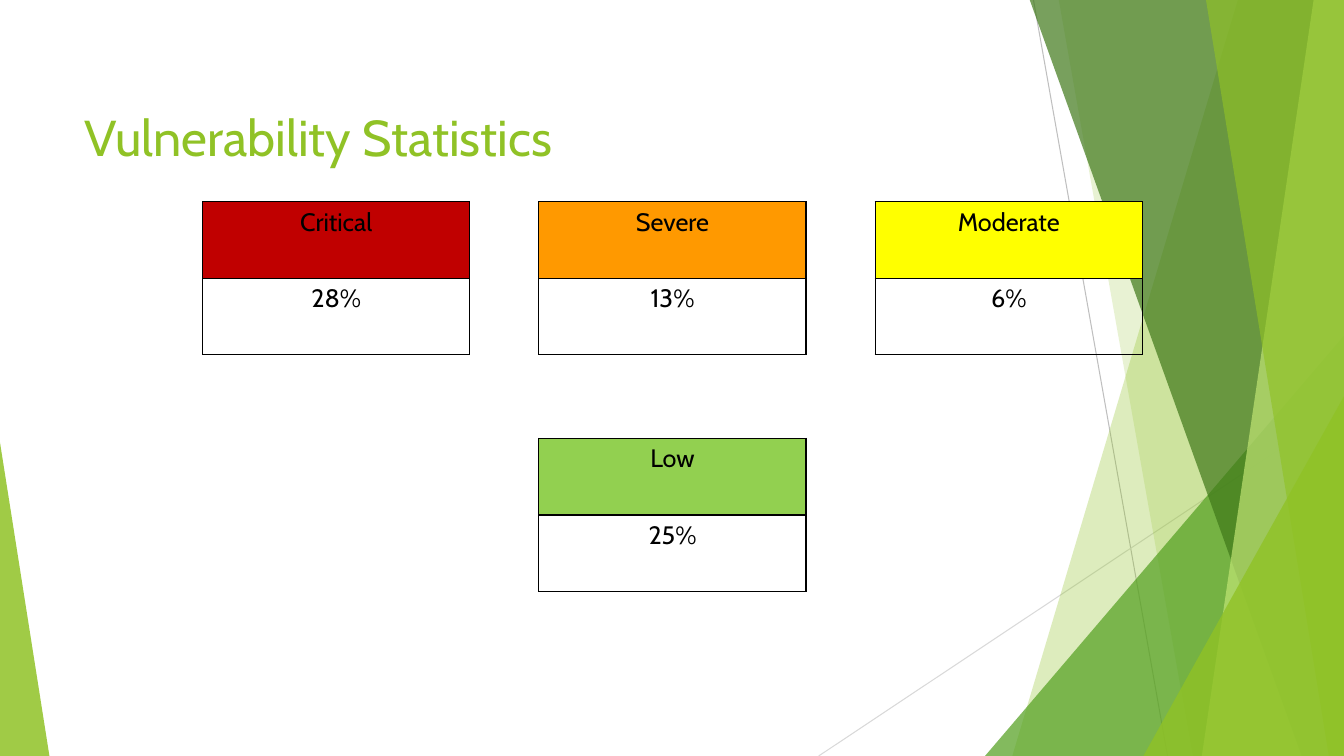
"""Builds the vulnerability statistics slide."""
from dataclasses import dataclass

from lxml.etree import SubElement
from pptx import Presentation
from pptx.dml.color import RGBColor
from pptx.enum.shapes import MSO_CONNECTOR as CONN, MSO_SHAPE as SHAPE
from pptx.enum.text import MSO_ANCHOR as ANCHOR, PP_ALIGN as ALIGN
from pptx.oxml import parse_xml
from pptx.oxml.ns import nsdecls, qn
from pptx.util import Inches, Pt


@dataclass(frozen=True)
class Theme:
    font: str = "Cabin"
    title_size: int = 36
    cell_size: int = 18
    ink: str = "000000"
    lime: str = "90C226"
    leaf: str = "54A021"
    forest: str = "3F7819"
    pale: str = "C0E474"
    critical: str = "C00000"
    severe: str = "FF9900"
    moderate: str = "FFFF00"
    low: str = "92D050"


THEME = Theme()
WIDTH, HEIGHT, TOP = 13.33, 7.5, -0.01
TITLE = "Vulnerability Statistics"

# label, value, colour, grid column, grid row
RATINGS = [
    ("Critical", "28%", THEME.critical, 0, 0),
    ("Severe", "13%", THEME.severe, 1, 0),
    ("Moderate", "6%", THEME.moderate, 2, 0),
    ("Low", "25%", THEME.low, 1, 1),
]
CARD_W, ROW_H = 2.65, 0.76
CARD_LEFT, CARD_TOP = 2.01, 2.0
COL_STEP, ROW_STEP = 3.335, 2.35

# start, end, colour
RAYS = [
    ((10.25, 0), (11.58, HEIGHT), "BFBFBF"),
    ((WIDTH, 4.03), (8.12, HEIGHT), "D9D9D9"),
]
# kind, top x and bottom x of a band, or left, top, width and apex of a wedge; then colour, opacity
FACETS = [
    ("band", (12.28, 10.04), THEME.lime, 30),
    ("band", (10.5, 11.83), THEME.lime, 20),
    ("wedge", (9.77, 3.33, 3.56, 1), THEME.leaf, 72),
    ("band", (10.21, 12.91), THEME.forest, 70),
    ("band", (13.03, 11.92), THEME.pale, 70),
    ("band", (11.96, 13.18), THEME.lime, 65),
    ("wedge", (11.34, 3.93, 1.99, 1), THEME.lime, 80),
    ("wedge", (0, 4.39, 0.49, 0), THEME.lime, 85),
]


def write(tf, text, size, color, align=ALIGN.LEFT, spacing=1.0):
    """Put one formatted paragraph in a text frame."""
    p = tf.paragraphs[0]
    p.alignment, p.line_spacing = align, spacing
    r = p.add_run()
    r.text = text
    r.font.name, r.font.size, r.font.bold = THEME.font, Pt(size), False
    r.font.color.rgb = RGBColor.from_string(color)


def add_ray(shapes, start, end, color):
    """Draw a thin background line."""
    points = [Inches(v) for v in (*start, *end)]
    line = shapes.add_connector(CONN.STRAIGHT, *points)
    line.line.color.rgb = RGBColor.from_string(color)
    line.line.width = Pt(0.75)
    SubElement(line._element.spPr, qn("a:effectLst"))


def add_facet(shapes, kind, spec_values, color, opacity):
    """Draw a translucent background band or wedge."""
    if kind == "band":
        top_x, bottom_x = spec_values
        corners = [(top_x, TOP), (WIDTH, TOP), (WIDTH, HEIGHT), (bottom_x, HEIGHT)]
        points = [(Inches(x), Inches(y)) for x, y in corners]
        builder = shapes.build_freeform(*points[0])
        builder.add_line_segments(points[1:], close=True)
        sp = builder.convert_to_shape()
    else:
        left, top, width, apex = spec_values
        box = [Inches(v) for v in (left, top, width, HEIGHT - top)]
        sp = shapes.add_shape(SHAPE.ISOSCELES_TRIANGLE, *box)
        sp.adjustments[0] = apex
    sp.shadow.inherit = False
    sp.line.fill.background()
    sp.fill.solid()
    sp.fill.fore_color.rgb = RGBColor.from_string(color)
    tint = sp._element.spPr.find(qn("a:solidFill"))[0]
    SubElement(tint, qn("a:alpha"), val=str(opacity * 1000))


def add_borders(cell):
    """Give a cell a thin line on all four sides."""
    for side in ("lnL", "lnR", "lnT", "lnB"):
        cell._tc.get_or_add_tcPr().append(parse_xml(
            f'<a:{side} {nsdecls("a")} w="12700"><a:solidFill>'
            f'<a:srgbClr val="{THEME.ink}"/></a:solidFill></a:{side}>'))


def add_card(shapes, label, value, color, col, row):
    """Add a two-row table for one rating."""
    box = (CARD_LEFT + col * COL_STEP, CARD_TOP + row * ROW_STEP, CARD_W, 2 * ROW_H)
    table = shapes.add_table(2, 1, *[Inches(v) for v in box]).table
    table.first_row = table.horz_banding = False
    head, body = table.cell(0, 0), table.cell(1, 0)
    for cell, text in ((head, label), (body, value)):
        add_borders(cell)
        write(cell.text_frame, text, THEME.cell_size, THEME.ink, align=ALIGN.CENTER)
    head.fill.solid()
    head.fill.fore_color.rgb = RGBColor.from_string(color)
    body.fill.background()


def main():
    """Build and save the slide."""
    prs = Presentation()
    prs.slide_width, prs.slide_height = Inches(WIDTH), Inches(HEIGHT)
    s = prs.slides.add_slide(prs.slide_layouts[5])
    for ray in RAYS:
        add_ray(s.shapes, *ray)
    for facet in FACETS:
        add_facet(s.shapes, *facet)

    title = s.shapes.title
    title.left, title.top = Inches(0.74), Inches(0.67)
    title.width, title.height = Inches(9.4), Inches(1.44)
    title.text_frame.vertical_anchor = ANCHOR.MIDDLE
    write(title.text_frame, TITLE, THEME.title_size, THEME.lime, spacing=0.9)
    s.shapes._spTree.append(title._element)

    for rating in RATINGS:
        add_card(s.shapes, *rating)
    prs.save("out.pptx")


if __name__ == "__main__":
    main()
